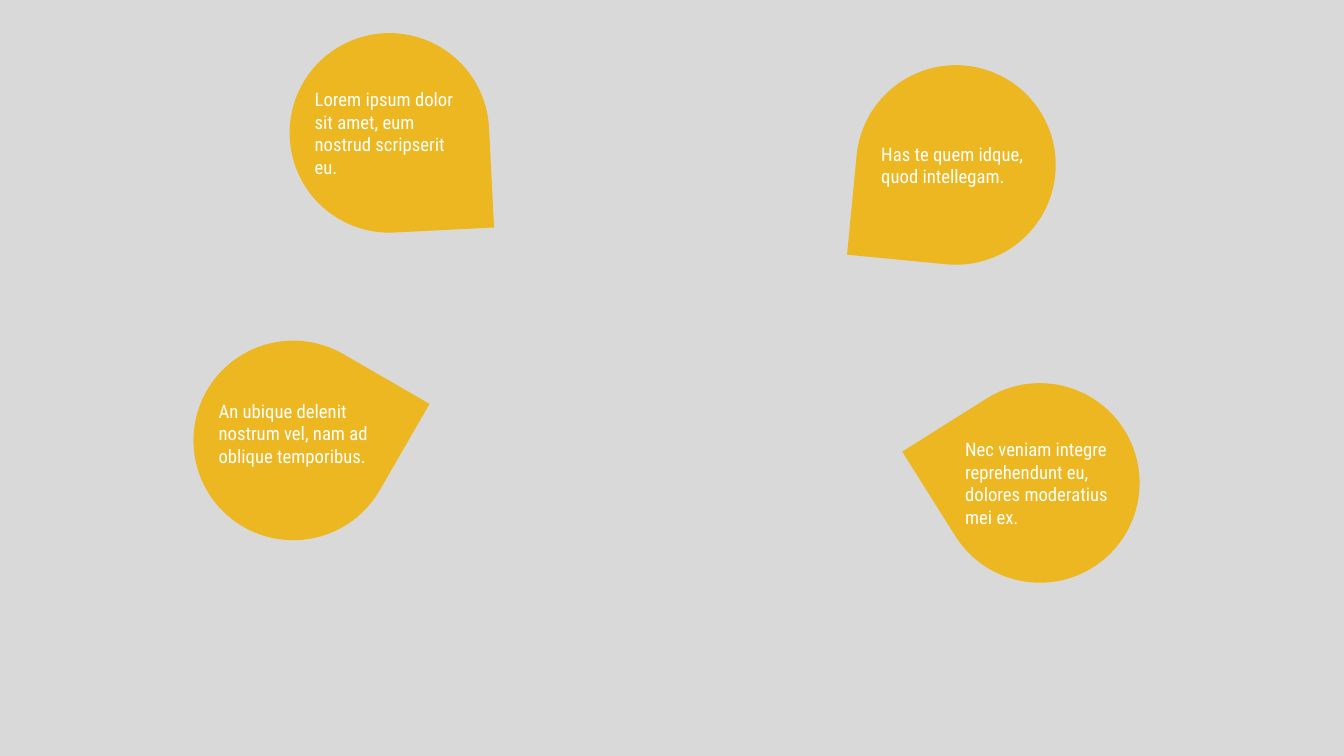
from dataclasses import dataclass

from pptx import Presentation
from pptx.dml.color import RGBColor
from pptx.enum.shapes import MSO_SHAPE as Shape
from pptx.enum.text import MSO_ANCHOR as Anchor, PP_ALIGN as Align
from pptx.util import Pt


@dataclass(frozen=True)
class Theme:
    backdrop: RGBColor = RGBColor(0xD9, 0xD9, 0xD9)
    drop: RGBColor = RGBColor(0xEC, 0xB7, 0x20)
    text: RGBColor = RGBColor(0xFF, 0xFF, 0xFF)
    font: str = "Roboto Condensed"
    size: int = 20


THEME = Theme()
SLIDE_W, SLIDE_H = 1440, 810
DROP = 213.8
CAPTION_W, CAPTION_H = 174.2, 121

# left, top and rotation of the drop, upward shift of its caption, caption
callouts = [
    (310.3, 35.5, 87.1, 0, "Lorem ipsum dolor sit amet, eum nostrud scripserit eu."),
    (917.3, 69.8, 185.5, 0, "Has te quem idque, quod intellegam."),
    (207.3, 365, 30, 7.5, "An ubique delenit nostrum vel, nam ad oblique temporibus."),
    (1007.2, 410.5, 237.8, 0,
     "Nec veniam integre reprehendunt eu, dolores moderatius mei ex."),
]

prs = Presentation()
prs.slide_width, prs.slide_height = Pt(SLIDE_W), Pt(SLIDE_H)
slide = prs.slides.add_slide(prs.slide_layouts[6])


def add_filled(preset, left, top, width, height, color):
    shape = slide.shapes.add_shape(preset, Pt(left), Pt(top), Pt(width), Pt(height))
    shape.shadow.inherit = False
    shape.fill.solid()
    shape.fill.fore_color.rgb = color
    shape.line.fill.background()
    return shape


add_filled(Shape.RECTANGLE, 0, 0, SLIDE_W, SLIDE_H, THEME.backdrop)

for left, top, angle, _, _ in callouts:
    drop = add_filled(Shape.TEAR, left, top, DROP, DROP, THEME.drop)
    drop.rotation = angle

for left, top, _, raised, wording in callouts:
    caption = slide.shapes.add_textbox(
        Pt(left + (DROP - CAPTION_W) / 2),
        Pt(top + (DROP - CAPTION_H) / 2 - raised),
        Pt(CAPTION_W), Pt(CAPTION_H))
    frame = caption.text_frame
    frame.word_wrap = True
    frame.vertical_anchor = Anchor.MIDDLE
    frame.text = wording
    paragraph = frame.paragraphs[0]
    paragraph.alignment = Align.LEFT
    font = paragraph.runs[0].font
    font.name = THEME.font
    font.size = Pt(THEME.size)
    font.color.rgb = THEME.text

prs.save("out.pptx")
